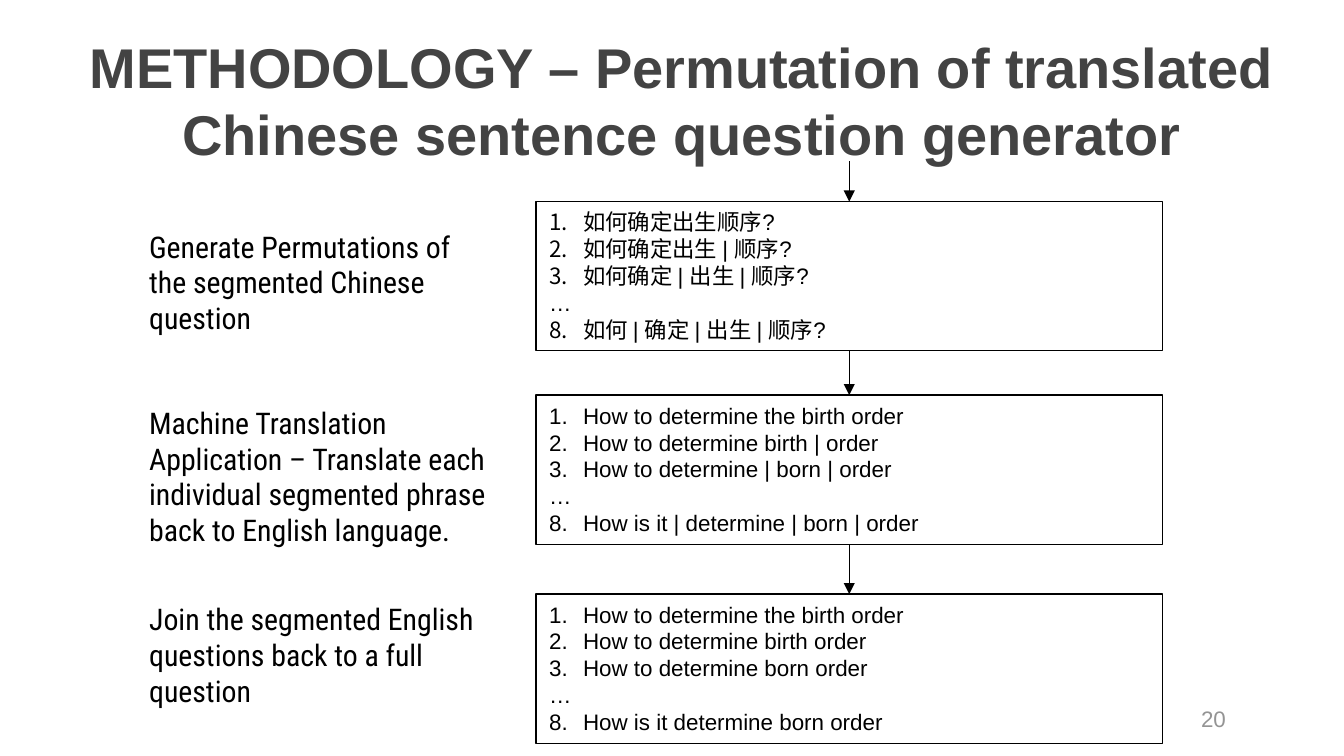
from pptx import Presentation, util as u
from pptx.dml.color import RGBColor
from pptx.enum import shapes, text
from pptx.oxml.ns import qn
from lxml import etree

TITLE = "METHODOLOGY – Permutation of translated Chinese sentence question generator"
PAGE_NUMBER = "20"
STEPS = [
    {
        "label": ["Generate Permutations of the segmented Chinese question"],
        "label_top": 4.19, "label_height": 2.31, "box_top": 3.81,
        "items": [(1, "如何确定出生顺序?"), (2, "如何确定出生 | 顺序?"),
                  (3, "如何确定 | 出生 | 顺序?"), (None, "…"),
                  (8, "如何 | 确定 | 出生 | 顺序?")],
    },
    {
        "label": ["Machine Translation",
                  "Application – Translate each individual segmented phrase "
                  "back to English language."],
        "label_top": 7.52, "label_height": 3.68, "box_top": 7.47,
        "items": [(1, "How to determine the birth order"),
                  (2, "How to determine birth | order"),
                  (3, "How to determine | born | order"), (None, "…"),
                  (8, "How is it | determine | born | order")],
    },
    {
        "label": ["Join the segmented English questions back to a full question"],
        "label_top": 11.23, "label_height": 2.31, "box_top": 11.23,
        "items": [(1, "How to determine the birth order"),
                  (2, "How to determine birth order"),
                  (3, "How to determine born order"), (None, "…"),
                  (8, "How is it determine born order")],
    },
]
THEME = {
    "font": "Arial", "label_font": "Roboto Condensed",
    "title_size": 30, "label_size": 16, "item_size": 12,
    "ink": "000000", "title_ink": "434343", "number_ink": "949494",
    "line": 0.75,
}
LABEL_LEFT, LABEL_WIDTH = 2.57, 6.96
BOX_LEFT, BOX_WIDTH, BOX_HEIGHT = 10.13, 11.84, 2.82
FLOW_TOP = 3.05
NUMBER_INDENT = u.Cm(0.64)


def write(shape, lines, font=THEME["font"], size=THEME["item_size"],
          color=THEME["ink"], bold=False, align=text.PP_ALIGN.LEFT,
          anchor=text.MSO_ANCHOR.TOP):
    frame = shape.text_frame
    frame.word_wrap = True
    frame.auto_size = text.MSO_AUTO_SIZE.NONE
    frame.vertical_anchor = anchor
    for index, line in enumerate(lines):
        para = frame.add_paragraph() if index else frame.paragraphs[0]
        para.alignment = align
        span = para.add_run()
        span.text = line
        span.font.name = font
        span.font.size = u.Pt(size)
        span.font.bold = bold
        span.font.color.rgb = RGBColor.from_string(color)
    return frame


def number(para, start):
    props = para._p.get_or_add_pPr()
    props.set("marL", str(NUMBER_INDENT))
    props.set("indent", str(-NUMBER_INDENT))
    etree.SubElement(props, qn("a:buAutoNum"), type="arabicPeriod", startAt=str(start))


def add_text(page, left, top, width, height, lines, **style):
    box = page.shapes.add_textbox(u.Cm(left), u.Cm(top), u.Cm(width), u.Cm(height))
    write(box, lines, **style)


def add_box(page, top, items):
    box = page.shapes.add_shape(shapes.MSO_SHAPE.RECTANGLE, u.Cm(BOX_LEFT), u.Cm(top),
                                u.Cm(BOX_WIDTH), u.Cm(BOX_HEIGHT))
    box.shadow.inherit = False
    box.fill.background()
    box.line.color.rgb = RGBColor.from_string(THEME["ink"])
    box.line.width = u.Pt(THEME["line"])
    frame = write(box, [line for _, line in items])
    for para, (start, _) in zip(frame.paragraphs, items):
        if start:
            number(para, start)
    return box


def add_arrow(page, source, target):
    center = u.Cm(BOX_LEFT + BOX_WIDTH / 2)
    arrow = page.shapes.add_connector(shapes.MSO_CONNECTOR.STRAIGHT, center,
                                      u.Cm(FLOW_TOP), center, target.top)
    if source is not None:
        arrow.begin_connect(source, 2)
    arrow.end_connect(target, 0)
    arrow.line.color.rgb = RGBColor.from_string(THEME["ink"])
    arrow.line.width = u.Pt(THEME["line"])
    etree.SubElement(arrow.line._get_or_add_ln(), qn("a:tailEnd"), type="triangle")
    etree.SubElement(arrow._element.spPr, qn("a:effectLst"))


def main():
    deck = Presentation()
    deck.slide_width, deck.slide_height = u.Cm(25.4), u.Cm(14.29)
    page = deck.slides.add_slide(deck.slide_layouts[5])

    title = page.shapes.title
    title.left, title.top, title.width, title.height = map(u.Cm, (1.19, 0.36, 23.39, 2.62))
    frame = write(title, [TITLE], size=THEME["title_size"], color=THEME["title_ink"],
                  bold=True, align=text.PP_ALIGN.CENTER)
    frame.margin_left = frame.margin_right = u.Cm(0.25)
    frame.margin_top = frame.margin_bottom = u.Cm(0.25)

    add_text(page, 17.7, 13.21, 5.72, 0.76, [PAGE_NUMBER], color=THEME["number_ink"],
             align=text.PP_ALIGN.RIGHT, anchor=text.MSO_ANCHOR.MIDDLE)

    previous = None
    for step in STEPS:
        add_text(page, LABEL_LEFT, step["label_top"], LABEL_WIDTH, step["label_height"],
                 step["label"], font=THEME["label_font"], size=THEME["label_size"])
        box = add_box(page, step["box_top"], step["items"])
        add_arrow(page, previous, box)
        previous = box

    deck.save("out.pptx")


if __name__ == "__main__":
    main()
